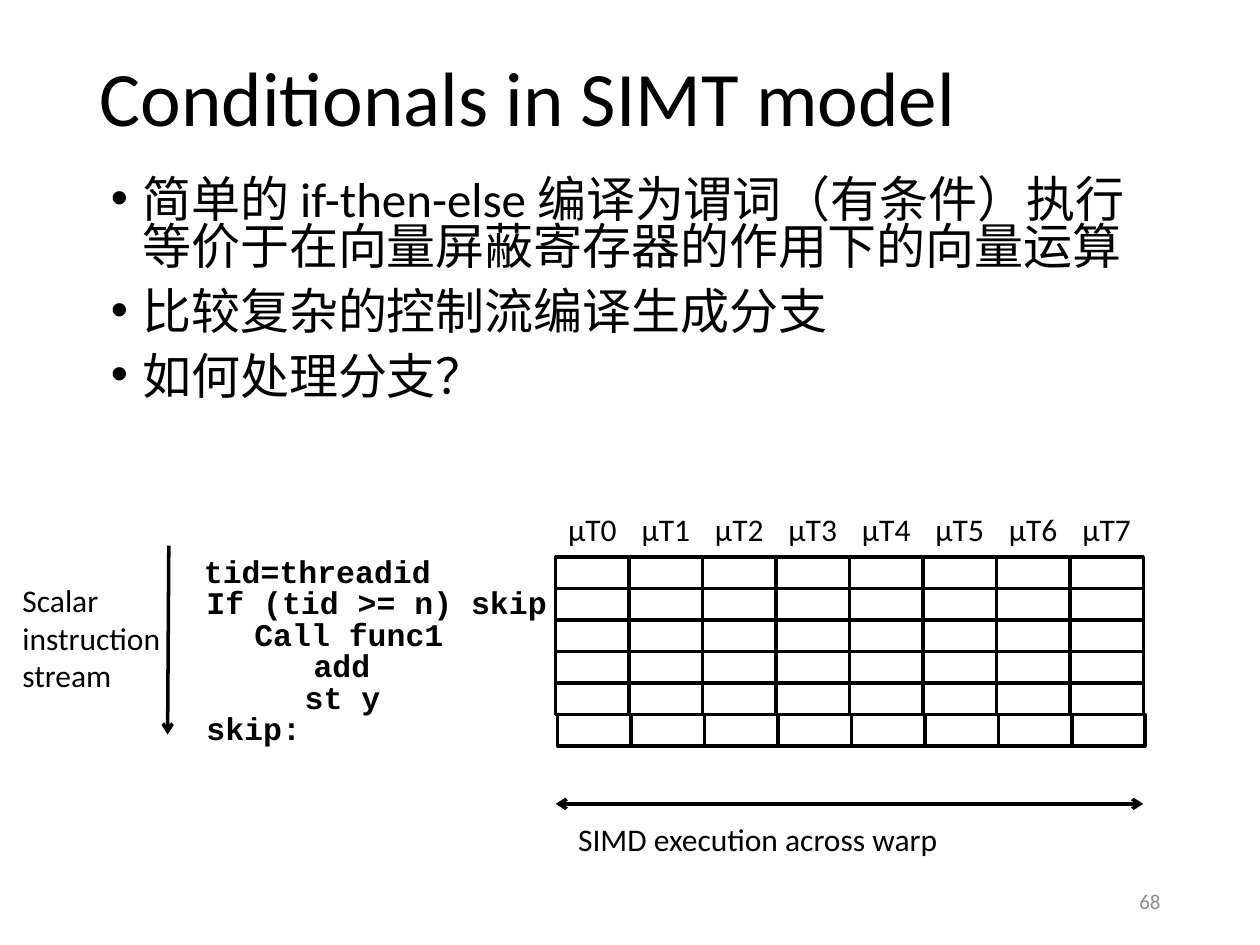
from dataclasses import dataclass

from pptx import Presentation
from pptx.dml.color import RGBColor
from pptx.enum.shapes import MSO_CONNECTOR as CONN, MSO_SHAPE as SHAPE
from pptx.enum.text import MSO_ANCHOR as ANCHOR, MSO_AUTO_SIZE as FIT, PP_ALIGN as ALIGN
from pptx.oxml.ns import qn
from pptx.util import Inches, Pt
from lxml.etree import SubElement


@dataclass(frozen=True)
class Theme:
    ink: str = "000000"
    paper: str = "FFFFFF"
    muted: str = "8C8C8C"
    font: str = "Calibri"
    code_font: str = "Courier New"
    title: int = 44
    body: int = 28
    label: int = 18
    small: int = 12
    line: int = 2


class Deck:
    """Places elements on a grid of 100 columns and 30 rows."""

    def __init__(self, theme):
        self.theme = theme
        self.prs = Presentation()
        self.prs.slide_width, self.prs.slide_height = Inches(10), Inches(7.5)
        self.slide = self.prs.slides.add_slide(self.prs.slide_layouts[1])

    def x(self, cols):
        return round(self.prs.slide_width * cols / 100)

    def y(self, rows):
        return round(self.prs.slide_height * rows / 30)

    def box(self, left, top, width, height):
        return self.x(left), self.y(top), self.x(width), self.y(height)

    def style(self, p, size, color=None, font=None, bold=False):
        for r in p.runs:
            r.font.size, r.font.bold = Pt(size), bold
            r.font.name = font or self.theme.font
            r.font.color.rgb = RGBColor.from_string(color or self.theme.ink)

    def place(self, sp, area):
        sp.left, sp.top, sp.width, sp.height = self.box(*area)
        sp.text_frame.auto_size = FIT.NONE
        return sp.text_frame

    def title(self, text, area):
        tf = self.place(self.slide.shapes.title, area)
        tf.text = text
        tf.vertical_anchor = ANCHOR.MIDDLE
        p = tf.paragraphs[0]
        p.alignment, p.line_spacing = ALIGN.LEFT, 0.9
        self.style(p, self.theme.title)

    def bullets(self, items, area):
        tf = self.place(self.slide.placeholders[1], area)
        tf.text = "\n".join(items)
        for p in tf.paragraphs:
            p.line_spacing, p.space_before = 0.8, Pt(10)
            pPr = p._p.get_or_add_pPr()
            pPr.set("marL", str(Inches(0.25)))
            pPr.set("indent", str(-Inches(0.25)))
            SubElement(pPr, qn("a:buChar"), char="•")
            self.style(p, self.theme.body)

    def text(self, text, area, wrap=False, fit=FIT.SHAPE_TO_FIT_TEXT, align=None,
             anchor=ANCHOR.TOP, size=None, **look):
        tf = self.slide.shapes.add_textbox(*self.box(*area)).text_frame
        tf.text = text
        tf.word_wrap, tf.auto_size, tf.vertical_anchor = wrap, fit, anchor
        p = tf.paragraphs[0]
        p.alignment = align
        self.style(p, size or self.theme.label, **look)

    def cell(self, area):
        sp = self.slide.shapes.add_shape(SHAPE.RECTANGLE, *self.box(*area))
        sp.shadow.inherit = False
        sp.fill.solid()
        sp.fill.fore_color.rgb = RGBColor.from_string(self.theme.paper)
        self.stroke(sp)

    def stroke(self, sp):
        sp.line.color.rgb = RGBColor.from_string(self.theme.ink)
        sp.line.width = Pt(self.theme.line)

    def arrow(self, start, end, ends=("tailEnd",)):
        sp = self.slide.shapes.add_connector(
            CONN.STRAIGHT, self.x(start[0]), self.y(start[1]), self.x(end[0]), self.y(end[1]))
        self.stroke(sp)
        spPr = sp.element.spPr
        for name in ends:
            SubElement(spPr.find(qn("a:ln")), qn(f"a:{name}"), type="arrow")
        SubElement(spPr, qn("a:effectLst"))


# Thread grid: one column per µT, one row per instruction
LANES, LANE_W = 8, 5.83
GRID_X, GRID_Y = 44.1, 17.68
CODE_Y = 17.32
LABEL_H = 1.6

# Instruction, left column, width, shift of its cells
CODE = [
    ("tid=threadid", 15.2, 20.1, 0),
    ("If (tid >= n) skip", 15.4, 29.2, 0),
    ("Call func1", 19.2, 17.1, 0),
    ("add", 23.9, 6.5, 0),
    ("st y", 23.2, 8.1, 0),
    ("skip:", 15.4, 9.6, 0.15),
]


def main():
    theme = Theme()
    deck = Deck(theme)

    # Heading, list and page number
    deck.title("Conditionals in SIMT model", (6.9, 1.6, 86.2, 3.28))
    deck.bullets([
        "简单的 if-then-else 编译为谓词（有条件）执行等价于在向量屏蔽寄存器的作用下的向量运算",
        "比较复杂的控制流编译生成分支",
        "如何处理分支？",
    ], (7.8, 5.52, 84, 8.12))
    deck.text("68", (70.6, 27.8, 22.5, 1.6), wrap=True, fit=FIT.NONE, align=ALIGN.RIGHT,
              anchor=ANCHOR.MIDDLE, size=theme.small, color=theme.muted)

    # Lane labels
    lanes = [GRID_X + i * LANE_W for i in range(LANES)]
    for i, left in enumerate(lanes):
        deck.text(f"µT{i}", (left, 16, 5.9, LABEL_H))

    # Code lines with their cells
    for row, (code, left, width, shift) in enumerate(CODE):
        for lane in lanes:
            deck.cell((lane + shift, GRID_Y + row, LANE_W, 1))
        deck.text(code, (left, CODE_Y + row, width, LABEL_H), font=theme.code_font, bold=True)

    # Axes
    deck.arrow((13.4, CODE_Y), (13.3, CODE_Y + len(CODE)))
    deck.text("Scalar instruction stream", (0.8, 18.24, 14, 4.04), wrap=True)
    deck.arrow((GRID_X, 25.52), (GRID_X + LANES * LANE_W, 25.52), ("headEnd", "tailEnd"))
    deck.text("SIMD execution across warp", (44.9, 25.84, 44.2, LABEL_H), wrap=True)

    deck.prs.save("out.pptx")


if __name__ == "__main__":
    main()
